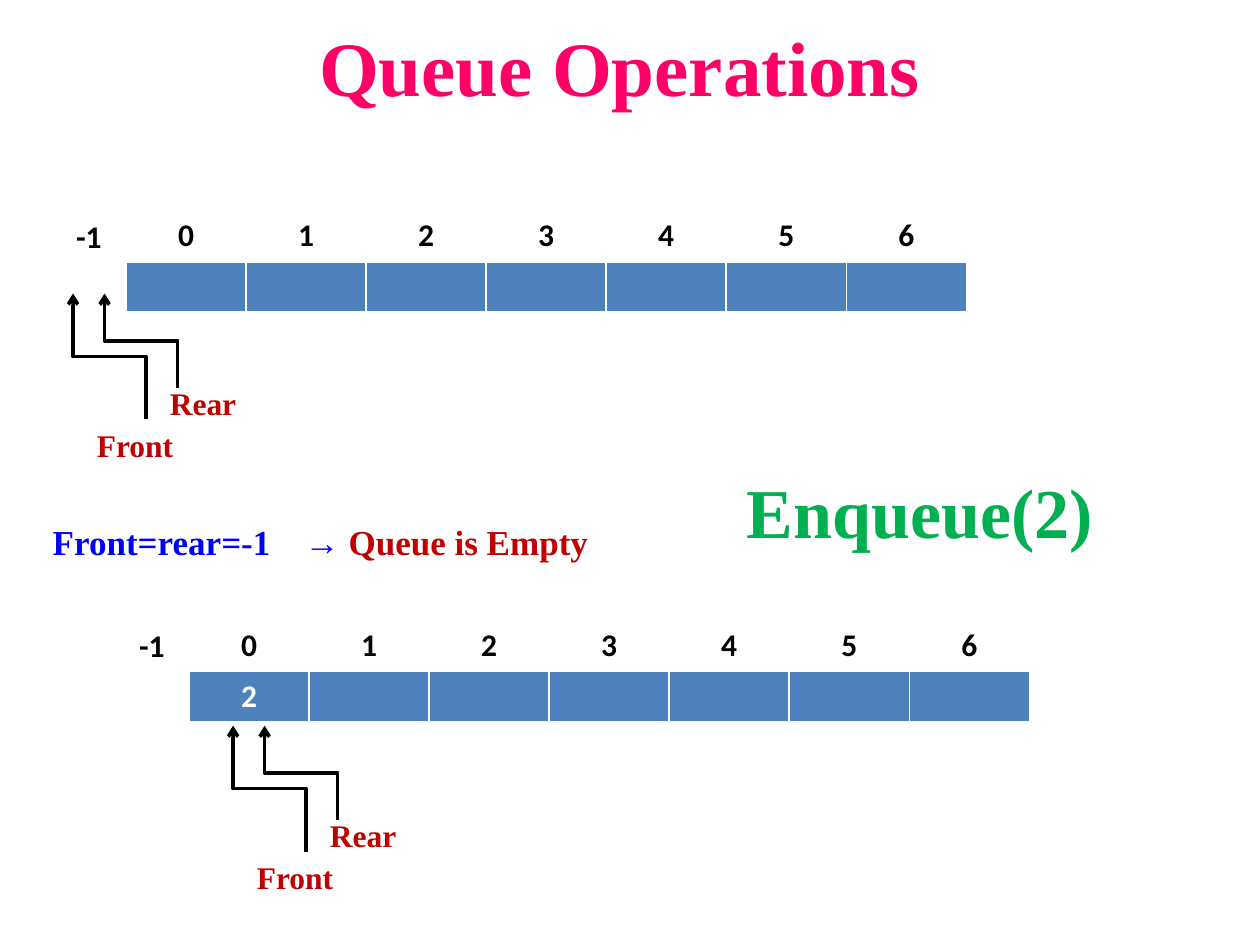
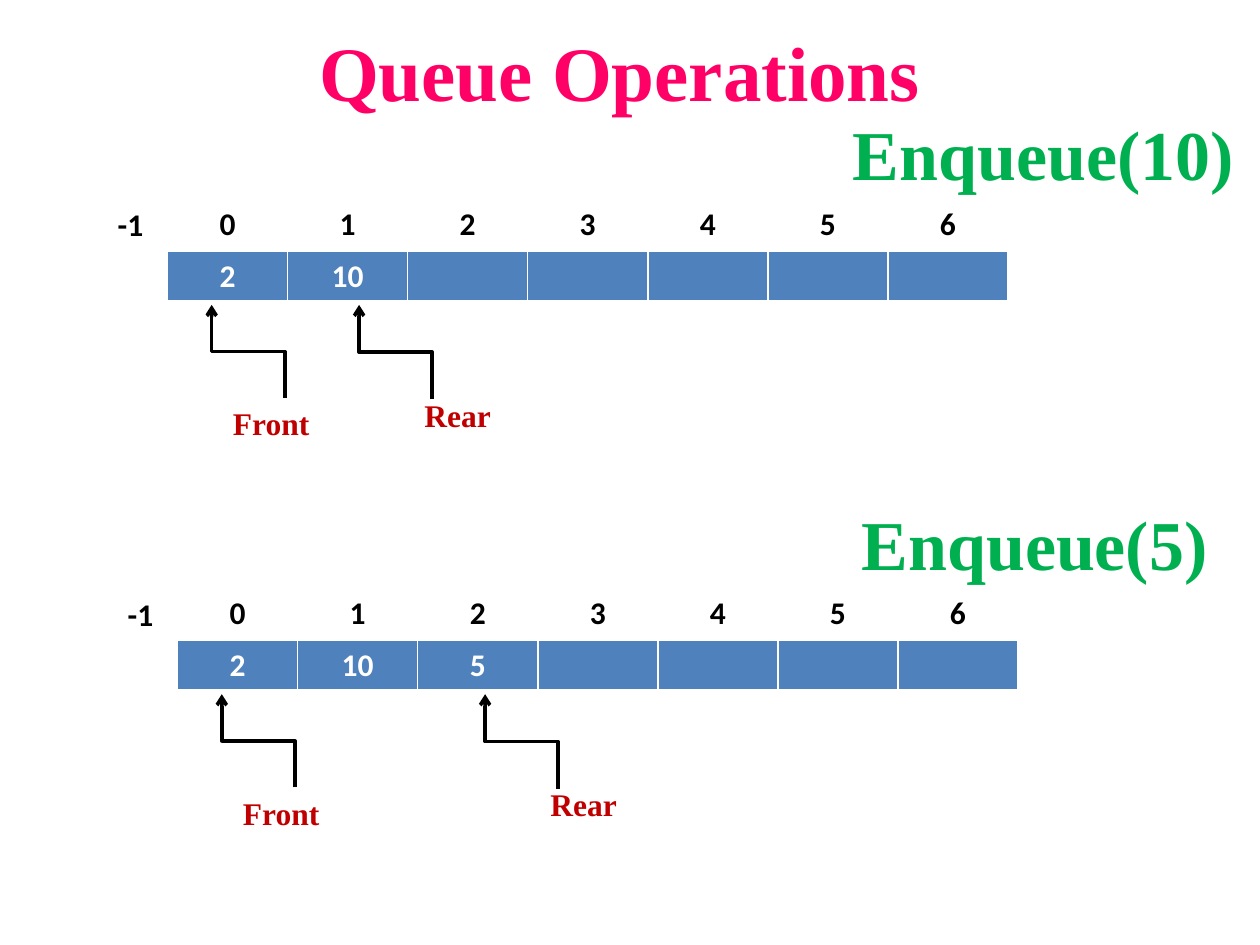
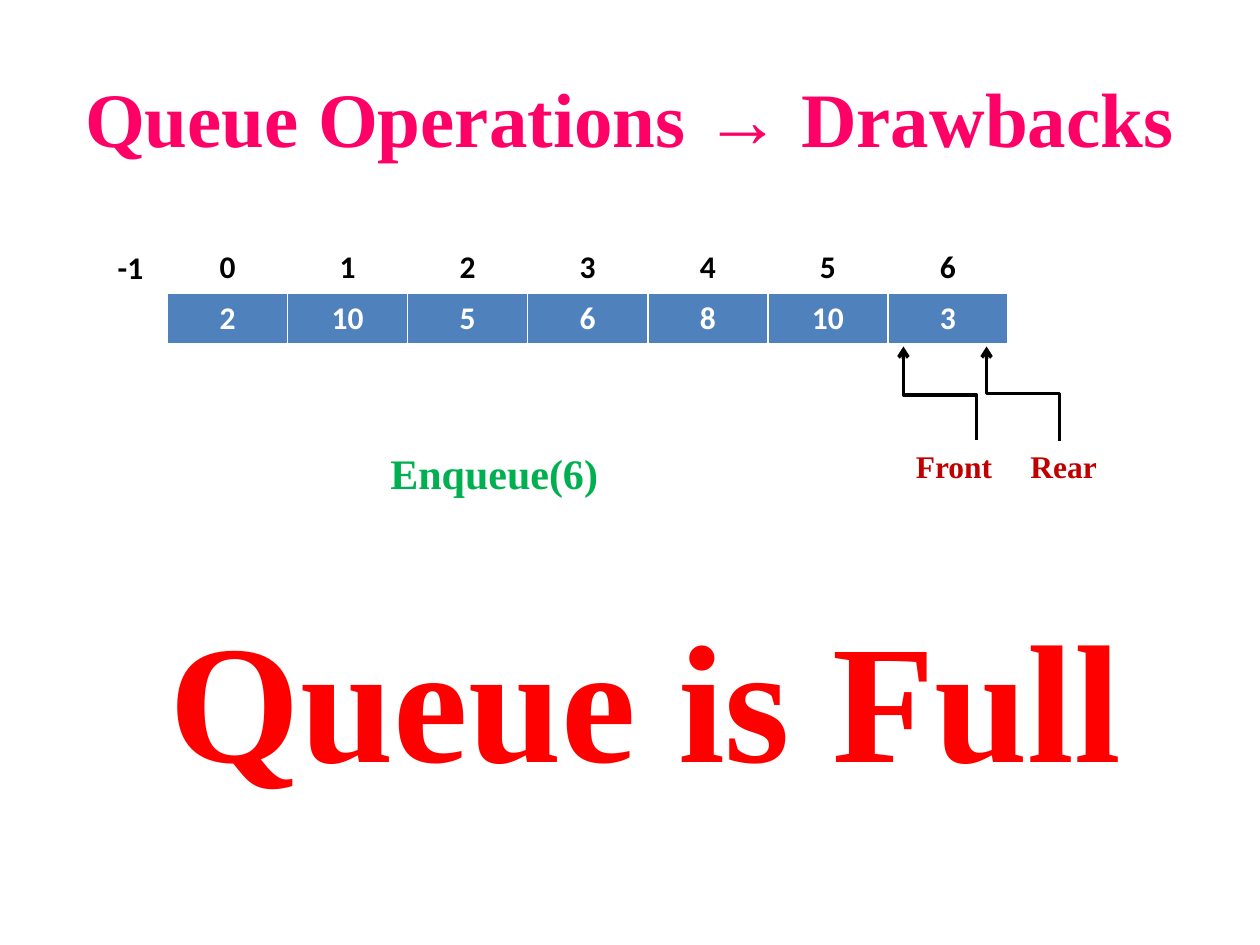
from dataclasses import dataclass

from lxml import etree
from pptx import Presentation
from pptx.dml.color import RGBColor
from pptx.enum.shapes import MSO_CONNECTOR
from pptx.enum.text import MSO_ANCHOR, MSO_AUTO_SIZE, PP_ALIGN
from pptx.oxml.ns import qn
from pptx.util import Inches, Pt

ELBOW = MSO_CONNECTOR.ELBOW
MIDDLE = MSO_ANCHOR.MIDDLE
FIT_SHAPE = MSO_AUTO_SIZE.SHAPE_TO_FIT_TEXT
NO_FIT = MSO_AUTO_SIZE.NONE
LEFT = PP_ALIGN.LEFT
CENTER = PP_ALIGN.CENTER

BLACK = RGBColor(0x00, 0x00, 0x00)
WHITE = RGBColor(0xFF, 0xFF, 0xFF)
PINK = RGBColor(0xFF, 0x00, 0x66)
DARK_RED = RGBColor(0xC0, 0x00, 0x00)
RED = RGBColor(0xFF, 0x00, 0x00)
BLUE = RGBColor(0x00, 0x00, 0xFF)
GREEN = RGBColor(0x00, 0xB0, 0x50)
CELL_BLUE = RGBColor(0x4F, 0x81, 0xBD)

SERIF = "Times New Roman"
SANS = "Calibri"
TITLE_FORMAT = {"name": SERIF, "size": Pt(44), "bold": True}
OPERATION_FORMAT = {"name": SERIF, "size": Pt(40), "bold": True}
SMALL_OPERATION_FORMAT = {"name": SERIF, "size": Pt(24), "bold": True}
FULL_FORMAT = {"name": SERIF, "size": Pt(96), "bold": True}
STATE_FORMAT = {"name": SERIF, "size": Pt(20), "bold": True}
POINTER_FORMAT = {"name": SERIF, "size": Pt(18), "bold": True}
CELL_FORMAT = {"name": SANS, "size": Pt(18), "bold": True}

PLAIN_TABLE_STYLE = "{2D5ABB26-0587-4C30-8999-92F81FD0307C}"
CELL_BORDERS = {"a:lnL": 1, "a:lnR": 1, "a:lnT": 1, "a:lnB": 3}
CAPACITY = 7
QUEUE_WIDTH = 6.67
ROW_HEIGHT = 0.41
POINTER_RUN = 0.58
LABEL_WIDTHS = {"Front": 0.81, "Rear": 0.73}


@dataclass
class Pointer:
    name: str
    tip_x: float
    tip_y: float
    height: float
    label_dx: float
    label_dy: float
    bend: float = 0.5


def add_run(paragraph, text, font_format, color):
    run = paragraph.add_run()
    run.text = text
    for attribute, value in font_format.items():
        setattr(run.font, attribute, value)
    run.font.color.rgb = color


def add_text(slide, box, text, font_format, color, align=LEFT, wrap=False):
    shape = slide.shapes.add_textbox(*map(Inches, box))
    frame = shape.text_frame
    frame.word_wrap = wrap
    frame.auto_size = NO_FIT if wrap else FIT_SHAPE
    paragraph = frame.paragraphs[0]
    paragraph.alignment = align
    add_run(paragraph, text, font_format, color)
    return frame


def add_title(slide, box, text):
    frame = add_text(slide, box, text, TITLE_FORMAT, PINK, CENTER, True)
    frame.vertical_anchor = MIDDLE


def add_empty_state(slide, box):
    frame = add_text(slide, box, "Front=rear=-1", STATE_FORMAT, BLUE, wrap=True)
    paragraph = frame.paragraphs[0]
    tabs = etree.SubElement(paragraph._p.get_or_add_pPr(), qn("a:tabLst"))
    etree.SubElement(tabs, qn("a:tab"), pos=str(Inches(2)), algn="l")
    add_run(paragraph, "\t→ ", STATE_FORMAT, BLUE)
    add_run(paragraph, "Queue is Empty", STATE_FORMAT, DARK_RED)


def add_cell_borders(cell):
    properties = cell._tc.get_or_add_tcPr()
    for tag, width in CELL_BORDERS.items():
        line = etree.SubElement(properties, qn(tag), w=str(Pt(width)))
        fill = etree.SubElement(line, qn("a:solidFill"))
        etree.SubElement(fill, qn("a:srgbClr"), val=str(WHITE))


def add_row(slide, left, top, values, color, filled):
    box = map(Inches, (left, top, QUEUE_WIDTH, ROW_HEIGHT))
    table = slide.shapes.add_table(1, CAPACITY, *box).table
    table._tbl.tblPr.find(qn("a:tableStyleId")).text = PLAIN_TABLE_STYLE
    for position, cell in enumerate(table.iter_cells()):
        if filled:
            add_cell_borders(cell)
            cell.fill.solid()
            cell.fill.fore_color.rgb = CELL_BLUE
        else:
            cell.fill.background()
        if position < len(values):
            paragraph = cell.text_frame.paragraphs[0]
            paragraph.alignment = CENTER
            add_run(paragraph, str(values[position]), CELL_FORMAT, color)


def add_pointer(slide, left, top, pointer):
    tip_x, tip_y = left + pointer.tip_x, top + pointer.tip_y
    center_x, center_y = tip_x + POINTER_RUN / 2, tip_y + pointer.height / 2
    half_length, half_run = pointer.height / 2, POINTER_RUN / 2
    ends = (center_x - half_length, center_y + half_run,
            center_x + half_length, center_y - half_run)
    connector = slide.shapes.add_connector(ELBOW, *map(Inches, ends))
    connector.line.color.rgb = BLACK
    connector.line.width = Pt(2)
    properties = connector._element.spPr
    properties.find(qn("a:xfrm")).set("rot", str(270 * 60000))
    adjustments = properties.find(qn("a:prstGeom")).find(qn("a:avLst"))
    etree.SubElement(adjustments, qn("a:gd"), name="adj1",
                     fmla=f"val {round(pointer.bend * 100000)}")
    etree.SubElement(properties.find(qn("a:ln")), qn("a:tailEnd"), type="arrow")
    etree.SubElement(properties, qn("a:effectLst"))
    label_box = (tip_x + pointer.label_dx, tip_y + pointer.label_dy,
                 LABEL_WIDTHS[pointer.name], 0.4)
    add_text(slide, label_box, pointer.name, POINTER_FORMAT, DARK_RED)


def add_queue(slide, left, top, values, pointers):
    add_row(slide, left, top + ROW_HEIGHT, values, WHITE, True)
    add_row(slide, left, top, range(CAPACITY), BLACK, False)
    add_text(slide, (left - 0.5, top, 0.41, 0.4), "-1", CELL_FORMAT, BLACK, CENTER)
    for pointer in pointers:
        add_pointer(slide, left, top, pointer)


def paired_pointers(front_x, tip_y):
    return (Pointer("Front", front_x, tip_y, 1, 0.09, 1),
            Pointer("Rear", front_x + 0.25, tip_y, 0.75, 0.42, 0.67))


def split_pointers(rear_x):
    return (Pointer("Front", 0.35, 0.84, 0.74, 0.07, 0.74),
            Pointer("Rear", rear_x, 0.84, 0.75, 0.42, 0.67))


def build_first_enqueue(slide):
    add_title(slide, (0.42, 0, 9, 1.05), "Queue Operations")
    add_queue(slide, 1, 1.67, [], paired_pointers(-0.42, 0.66))
    add_empty_state(slide, (0.32, 4.08, 4.55, 0.44))
    add_queue(slide, 1.5, 4.92, [2], paired_pointers(0.35, 0.84))
    add_text(slide, (5.83, 3.67, 2.98, 0.77), "Enqueue(2)", OPERATION_FORMAT, GREEN)


def build_more_enqueues(slide):
    add_title(slide, (0.42, 0.12, 9, 0.88), "Queue Operations")
    add_queue(slide, 1.33, 1.58, [2, 10], split_pointers(1.52))
    add_text(slide, (6.67, 0.83, 3.26, 0.77), "Enqueue(10)", OPERATION_FORMAT, GREEN)
    add_queue(slide, 1.41, 4.67, [2, 10, 5], split_pointers(2.44))
    add_text(slide, (6.74, 3.92, 2.98, 0.77), "Enqueue(5)", OPERATION_FORMAT, GREEN)


def build_drawbacks(slide):
    add_title(slide, (0.5, 0.3, 9, 1.25), "Queue Operations → Drawbacks")
    pointers = (Pointer("Front", 5.84, 0.83, 0.74, 0, 0.75, 0.48),
                Pointer("Rear", 6.5, 0.83, 0.75, 0.25, 0.75))
    add_queue(slide, 1.33, 1.92, [2, 10, 5, 6, 8, 10, 3], pointers)
    add_text(slide, (3, 3.5, 1.87, 0.5), "Enqueue(6)", SMALL_OPERATION_FORMAT, GREEN)
    add_text(slide, (1.25, 4.67, 7.83, 1.72), "Queue is Full", FULL_FORMAT, RED)


def main():
    presentation = Presentation()
    presentation.slide_width = Inches(10)
    presentation.slide_height = Inches(7.5)
    blank = presentation.slide_layouts[6]
    for build in (build_first_enqueue, build_more_enqueues, build_drawbacks):
        build(presentation.slides.add_slide(blank))
    presentation.save("out.pptx")


if __name__ == "__main__":
    main()
